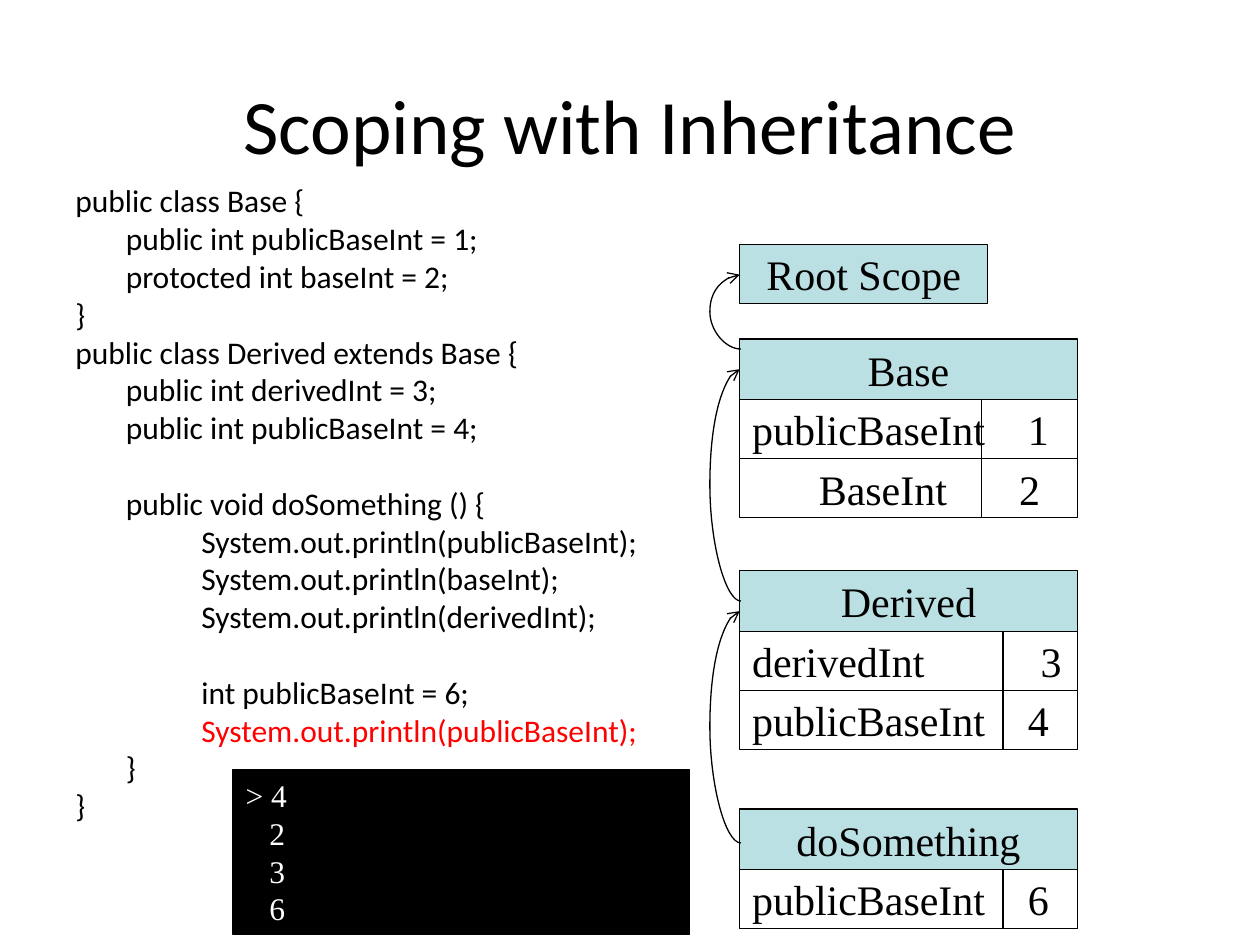
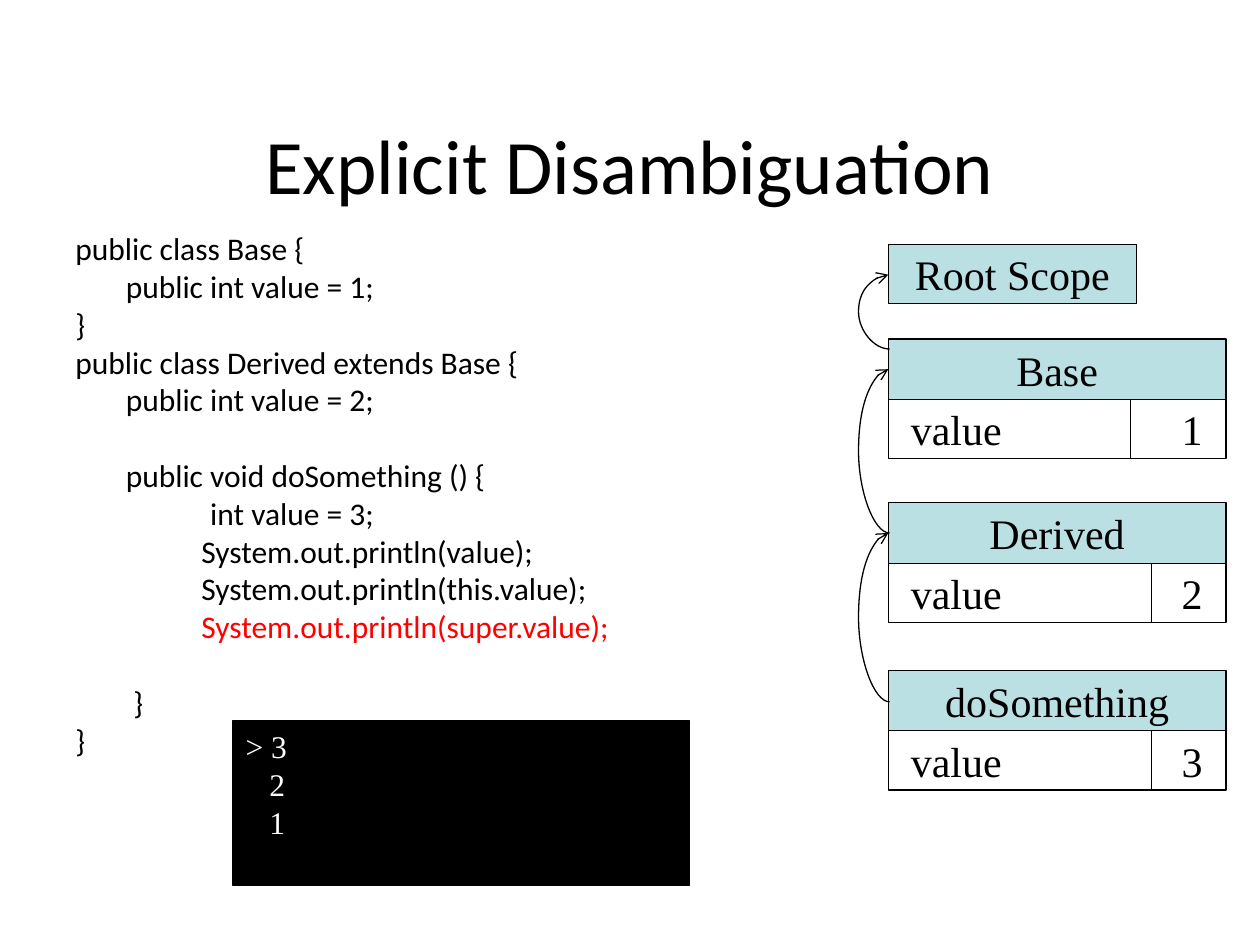
from dataclasses import dataclass

from lxml.etree import SubElement
from pptx import Presentation
from pptx.dml.color import RGBColor
from pptx.enum.shapes import MSO_CONNECTOR, MSO_SHAPE
from pptx.enum.text import MSO_ANCHOR, PP_ALIGN
from pptx.oxml.ns import qn
from pptx.util import Inches, Pt


@dataclass(frozen=True)
class Theme:
    sans: str = "Calibri"
    serif: str = "Times New Roman"
    black: RGBColor = RGBColor(0x00, 0x00, 0x00)
    white: RGBColor = RGBColor(0xFF, 0xFF, 0xFF)
    red: RGBColor = RGBColor(0xFF, 0x00, 0x00)
    header: RGBColor = RGBColor(0xBB, 0xE0, 0xE3)
    title_size: int = 44
    code_size: int = 18
    scope_size: int = 24
    line_pitch: float = 21.6
    line_width: float = 0.75


THEME = Theme()

# Scope table measures, in inches
TABLE_WIDTH = 2.68
HEADER_HEIGHT = 0.48
ROW_HEIGHT = 0.47
BASE_DIVIDER = 1.92
DIVIDER = 2.09


# Text
def style(para, face, size, color):
    for font in (para.font, *(span.font for span in para.runs)):
        font.name = face
        font.size = Pt(size)
        font.color.rgb = color


def indent(para, inches):
    properties = para._p.get_or_add_pPr()
    properties.set("marL", str(Inches(inches)))
    properties.set("indent", "0")


def set_tab_stops(para, stops):
    tabs = SubElement(para._p.get_or_add_pPr(), qn("a:tabLst"))
    for stop in stops:
        SubElement(tabs, qn("a:tab"), pos=str(Inches(stop)), algn="l")


def add_lines(frame, lines, face):
    """Each line is (text, indent, colour, blank lines before)."""
    for number, (text, left, color, gap) in enumerate(lines):
        para = frame.paragraphs[0] if number == 0 else frame.add_paragraph()
        para.text = text
        para.alignment = PP_ALIGN.LEFT
        para.line_spacing = Pt(THEME.line_pitch)
        para.space_before = Pt(gap * THEME.line_pitch)
        indent(para, left)
        style(para, face, THEME.code_size, color)


def add_text_box(page, left, top, width, height):
    box = page.shapes.add_textbox(*map(Inches, (left, top, width, height)))
    box.text_frame.word_wrap = True
    return box.text_frame


def add_title(page, text, top):
    frame = add_text_box(page, 0.75, top, 8.5, 1.25)
    frame.vertical_anchor = MSO_ANCHOR.MIDDLE
    para = frame.paragraphs[0]
    para.text = text
    para.alignment = PP_ALIGN.CENTER
    style(para, THEME.sans, THEME.title_size, THEME.black)


def add_code(page, top, lines):
    frame = add_text_box(page, 0.5, top, 4.97, 4.5)
    full = [(*line, THEME.black, 0)[:4] if len(line) == 2 else line
            for line in lines]
    add_lines(frame, full, THEME.sans)


# Boxes and lines
def add_box(page, left, top, width, height, fill):
    box = page.shapes.add_shape(
        MSO_SHAPE.RECTANGLE, *map(Inches, (left, top, width, height)))
    box.shadow.inherit = False
    box.fill.solid()
    box.fill.fore_color.rgb = fill
    box.line.color.rgb = THEME.black
    box.line.width = Pt(THEME.line_width)
    box.text_frame.word_wrap = True
    box.text_frame.vertical_anchor = MSO_ANCHOR.MIDDLE
    return box


def add_line(page, kind, x1, y1, x2, y2):
    line = page.shapes.add_connector(kind, *map(Inches, (x1, y1, x2, y2)))
    line.line.color.rgb = THEME.black
    line.line.width = Pt(THEME.line_width)
    SubElement(line._element.spPr, qn("a:effectLst"))
    return line


def add_scope_link(page, left, start, end):
    """Curved arrow from an inner scope up to the scope around it."""
    link = add_line(page, MSO_CONNECTOR.CURVE, left, end, left + 0.01, start)
    properties = link._element.spPr
    properties.find(qn("a:xfrm")).set("rot", "10800000")
    geometry = properties.find(qn("a:prstGeom"))
    guides = geometry.find(qn("a:avLst"))
    if guides is None:
        guides = SubElement(geometry, qn("a:avLst"))
    SubElement(guides, qn("a:gd"), name="adj1", fmla="val 2500000")
    SubElement(properties.find(qn("a:ln")), qn("a:tailEnd"), type="arrow")


def add_header(page, text, left, top, width=TABLE_WIDTH, height=HEADER_HEIGHT):
    box = add_box(page, left, top, width, height, THEME.header)
    para = box.text_frame.paragraphs[0]
    para.text = text
    para.alignment = PP_ALIGN.CENTER
    style(para, THEME.serif, THEME.scope_size, THEME.black)


def add_scope(page, name, left, top, divider, rows):
    """Each row is (variable, its offset, value, its offset)."""
    add_header(page, name, left, top)
    for number, (variable, name_at, value, value_at) in enumerate(rows):
        row_top = top + HEADER_HEIGHT + number * ROW_HEIGHT
        box = add_box(page, left, row_top, TABLE_WIDTH, ROW_HEIGHT, THEME.white)
        para = box.text_frame.paragraphs[0]
        lead = "\t" if name_at else ""
        para.add_run().text = f"{lead}{variable}\t{value}"
        para.alignment = PP_ALIGN.LEFT
        set_tab_stops(para, [stop for stop in (name_at, value_at) if stop])
        style(para, THEME.serif, THEME.scope_size, THEME.black)
        add_line(page, MSO_CONNECTOR.STRAIGHT, left + divider, row_top,
                 left + divider, row_top + ROW_HEIGHT)


def add_scope_chain(page, left, scopes, links):
    add_header(page, "Root Scope", left, 1.94, 1.97, ROW_HEIGHT)
    for name, top, divider, rows in scopes:
        add_scope(page, name, left, top, divider, rows)
    for start, end in links:
        add_scope_link(page, left, start, end)


def add_console(page, top, values):
    box = add_box(page, 1.85, top, 3.62, 1.31, THEME.black)
    box.text_frame.vertical_anchor = MSO_ANCHOR.TOP
    first, *others = values
    lines = [(f"> {first}", 0, THEME.white, 0)]
    lines += [(value, 0.19, THEME.white, 0) for value in others]
    add_lines(box.text_frame, lines, THEME.serif)


# Slides
def build_inheritance(page):
    add_title(page, "Scoping with Inheritance", 0.36)
    add_code(page, 1.39, [
        ("public class Base {", 0),
        ("public int publicBaseInt = 1;", 0.4),
        ("protocted int baseInt = 2;", 0.4),
        ("}", 0),
        ("public class Derived extends Base {", 0),
        ("public int derivedInt = 3;", 0.4),
        ("public int publicBaseInt = 4;", 0.4),
        ("public void doSomething () {", 0.4, THEME.black, 1),
        ("System.out.println(publicBaseInt);", 1),
        ("System.out.println(baseInt);", 1),
        ("System.out.println(derivedInt);", 1),
        ("int publicBaseInt = 6;", 1, THEME.black, 1),
        ("System.out.println(publicBaseInt);", 1, THEME.red, 0),
        ("}", 0.4),
        ("}", 0),
    ])
    scopes = [
        ("Base", 2.69, BASE_DIVIDER, [("publicBaseInt", 0, "1", 2.19),
                                      ("BaseInt", 0.53, "2", 2.12)]),
        ("Derived", 4.53, DIVIDER, [("derivedInt", 0, "3", 2.29),
                                    ("publicBaseInt", 0, "4", 2.19)]),
        ("doSomething", 6.42, DIVIDER, [("publicBaseInt", 0, "6", 2.19)]),
    ]
    links = [(2.77, 2.18), (4.77, 2.93), (6.69, 4.85)]
    add_scope_chain(page, 5.87, scopes, links)
    add_console(page, 6.11, "4236")


def build_disambiguation(page):
    add_title(page, "Explicit Disambiguation", 0.67)
    add_code(page, 1.77, [
        ("public class Base {", 0),
        ("public int value = 1;", 0.4),
        ("}", 0),
        ("public class Derived extends Base {", 0),
        ("public int value = 2;", 0.4),
        ("public void doSomething () {", 0.4, THEME.black, 1),
        ("int value = 3;", 1.07),
        ("System.out.println(value);", 1),
        ("System.out.println(this.value);", 1),
        ("System.out.println(super.value);", 1, THEME.red, 0),
        ("}", 0.46, THEME.black, 1),
        ("}", 0),
    ])
    tables = [("Base", 2.69, BASE_DIVIDER, "1"),
              ("Derived", 3.99, DIVIDER, "2"),
              ("doSomething", 5.32, DIVIDER, "3")]
    scopes = [(name, top, divider, [("value", 0.08, value, 2.23)])
              for name, top, divider, value in tables]
    links = [(2.77, 2.18), (4.23, 2.93), (5.57, 4.23)]
    add_scope_chain(page, 7.05, scopes, links)
    add_console(page, 5.72, "321")


def main():
    deck = Presentation()
    deck.slide_width = Inches(10)
    deck.slide_height = Inches(7.5)
    for build in (build_inheritance, build_disambiguation):
        build(deck.slides.add_slide(deck.slide_layouts[6]))
    deck.save("out.pptx")


if __name__ == "__main__":
    main()
